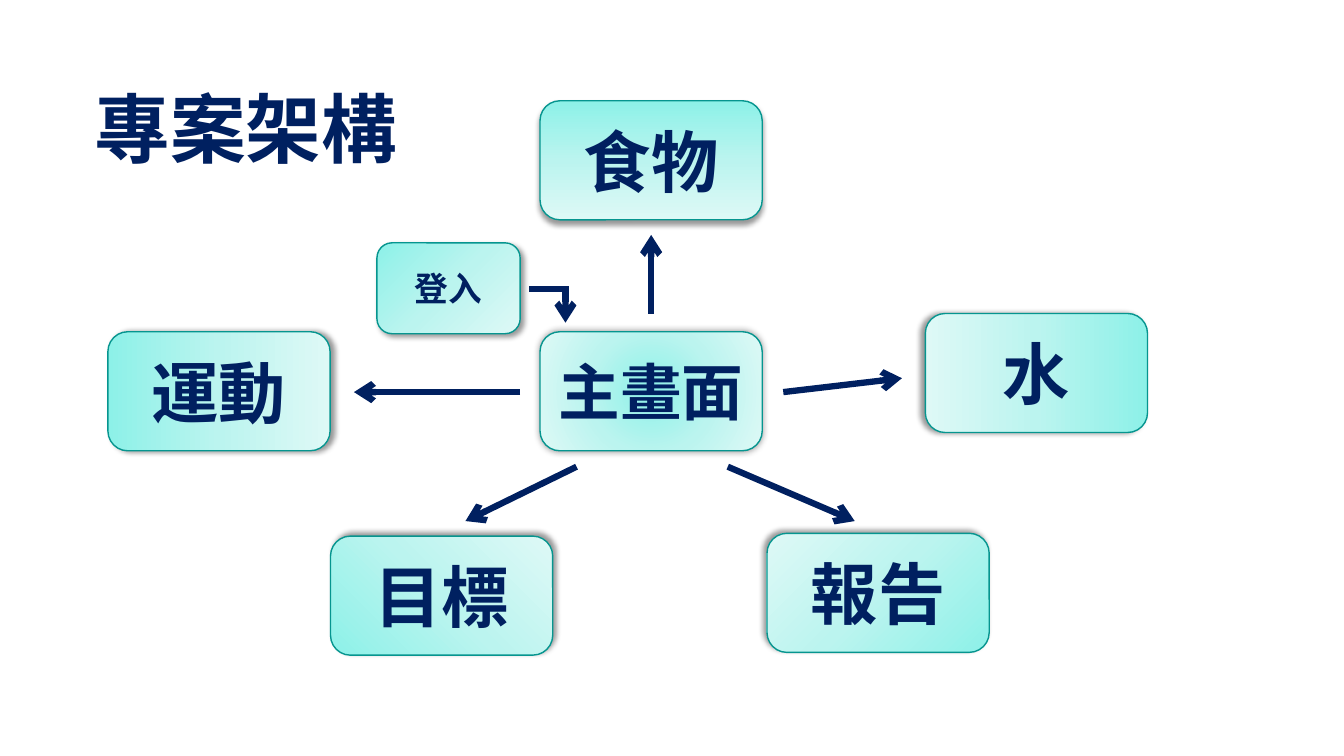
import dataclasses
import typing

import lxml.etree
import pptx
import pptx.dml.color
import pptx.enum.shapes
import pptx.enum.text
import pptx.oxml
import pptx.oxml.ns
import pptx.util


@dataclasses.dataclass(frozen=True)
class Theme:
    ink: str = "002060"
    border: str = "06958F"
    shadow: str = "000000"
    gradient: tuple[str, ...] = ("8DF1E8", "BBF4EF", "DEF9F6")
    title_font: str = "Noto Sans CJK JP"
    node_font: str = "Noto Sans CJK SC"
    title_size: float = 54
    node_size: float = 48
    main_size: float = 44
    login_size: float = 24
    border_width: float = 1
    arrow_width: float = 4.5


THEME = Theme()


@dataclasses.dataclass(frozen=True)
class Node:
    text: str
    left: float
    top: float
    angle: int = 0
    size: float = THEME.node_size
    width: float = 5.6
    height: float = 3.0
    radial_focus: tuple[int, int, int, int] | None = None
    shadow_blur: float = 4
    shadow_distance: float = 3


@dataclasses.dataclass(frozen=True)
class Arrow:
    start: tuple[float, float]
    end: tuple[float, float]
    has_head: bool = True


NODES = (
    Node("主畫面", 13.61, 8.36, size=THEME.main_size,
         radial_focus=(50, 50, 50, 50), shadow_blur=5, shadow_distance=0),
    Node("目標", 8.33, 13.51, 315),
    Node("運動", 2.72, 8.36, 0),
    Node("食物", 13.61, 2.54, 90),
    Node("報告", 19.33, 13.44, 225),
    Node("水", 23.32, 7.9, 180),
    Node("登入", 9.5, 6.12, 45, THEME.login_size, 3.61, 2.29,
         radial_focus=(0, 0, 100, 100)),
)

ARROWS = (
    Arrow((16.41, 7.9), (16.41, 5.92)),
    Arrow((19.74, 9.88), (22.73, 9.53)),
    Arrow((13.11, 9.88), (8.92, 9.88)),
    Arrow((14.53, 11.76), (11.73, 13.13)),
    Arrow((18.34, 11.76), (21.54, 13.13)),
    Arrow((13.34, 7.29), (14.27, 7.29), has_head=False),
    Arrow((14.25, 7.21), (14.25, 8.13)),
)


def apply_format(target: typing.Any, values: dict[str, typing.Any]) -> None:
    for name, value in values.items():
        setattr(target, name, value)


def color(value: str) -> pptx.dml.color.RGBColor:
    return pptx.dml.color.RGBColor.from_string(value)


def add_element(parent: typing.Any, tag: str, **attributes: typing.Any) -> typing.Any:
    return lxml.etree.SubElement(
        parent, pptx.oxml.ns.qn(tag),
        {name: str(value) for name, value in attributes.items()})


def write_text(shape: typing.Any, text: str, font: str, size: float,
               frame_format: dict[str, typing.Any],
               paragraph_format: dict[str, typing.Any]) -> None:
    frame = shape.text_frame
    apply_format(frame, {"word_wrap": True,
                         "auto_size": pptx.enum.text.MSO_AUTO_SIZE.NONE,
                         **frame_format})
    paragraph = frame.paragraphs[0]
    apply_format(paragraph, paragraph_format)
    run = paragraph.add_run()
    run.text = text
    apply_format(run.font, {"name": font, "size": pptx.util.Pt(size), "bold": True})
    run.font.color.rgb = color(THEME.ink)
    add_element(run.font._element, "a:ea", typeface=font)


def fill_gradient(shape: typing.Any, node: Node) -> None:
    shape.fill.background()
    properties = shape._element.spPr
    placeholder_fill = properties.find(pptx.oxml.ns.qn("a:noFill"))
    gradient = pptx.oxml.parse_xml(
        f'<a:gradFill {pptx.oxml.ns.nsdecls("a")} rotWithShape="1"/>')
    stops = add_element(gradient, "a:gsLst")
    for index, value in enumerate(THEME.gradient):
        stop = add_element(stops, "a:gs", pos=index * 50000)
        add_element(stop, "a:srgbClr", val=value)
    if node.radial_focus is None:
        add_element(gradient, "a:lin", ang=node.angle * 60000, scaled=0)
    else:
        route = add_element(gradient, "a:path", path="circle")
        edges = {side: inset * 1000 for side, inset in zip("ltrb", node.radial_focus)}
        add_element(route, "a:fillToRect", **edges)
    properties.replace(placeholder_fill, gradient)


def cast_shadow(shape: typing.Any, node: Node) -> None:
    shape.shadow.inherit = False
    effects = shape._element.spPr.find(pptx.oxml.ns.qn("a:effectLst"))
    shadow = add_element(effects, "a:outerShdw",
                         blurRad=pptx.util.Pt(node.shadow_blur),
                         dist=pptx.util.Pt(node.shadow_distance),
                         dir=node.angle * 60000, rotWithShape=0)
    shade = add_element(shadow, "a:srgbClr", val=THEME.shadow)
    add_element(shade, "a:alpha", val=40000)


def draw_node(slide: typing.Any, node: Node) -> None:
    shape = slide.shapes.add_shape(
        pptx.enum.shapes.MSO_SHAPE.ROUNDED_RECTANGLE,
        *map(pptx.util.Cm, (node.left, node.top, node.width, node.height)))
    fill_gradient(shape, node)
    shape.line.color.rgb = color(THEME.border)
    shape.line.width = pptx.util.Pt(THEME.border_width)
    cast_shadow(shape, node)
    write_text(shape, node.text, THEME.node_font, node.size,
               {"vertical_anchor": pptx.enum.text.MSO_ANCHOR.MIDDLE},
               {"alignment": pptx.enum.text.PP_ALIGN.CENTER})


def draw_arrow(slide: typing.Any, arrow: Arrow) -> None:
    connector = slide.shapes.add_connector(
        pptx.enum.shapes.MSO_CONNECTOR.STRAIGHT,
        *map(pptx.util.Cm, arrow.start + arrow.end))
    connector.line.color.rgb = color(THEME.ink)
    connector.line.width = pptx.util.Pt(THEME.arrow_width)
    if arrow.has_head:
        add_element(connector.line._get_or_add_ln(), "a:tailEnd", type="arrow")
    add_element(connector._element.spPr, "a:effectLst")


def draw_title(slide: typing.Any, text: str) -> None:
    title = slide.shapes.title
    apply_format(title, {"left": pptx.util.Cm(2.13), "top": pptx.util.Cm(1.73),
                         "width": pptx.util.Cm(9.4), "height": pptx.util.Cm(2.77)})
    write_text(title, text, THEME.title_font, THEME.title_size,
               {"vertical_anchor": pptx.enum.text.MSO_ANCHOR.BOTTOM},
               {"alignment": pptx.enum.text.PP_ALIGN.LEFT, "line_spacing": 0.9})


def main() -> None:
    presentation = pptx.Presentation()
    apply_format(presentation, {"slide_width": pptx.util.Cm(33.87),
                                "slide_height": pptx.util.Cm(19.05)})
    slide = presentation.slides.add_slide(presentation.slide_layouts[5])
    draw_title(slide, "專案架構")
    for node in NODES:
        draw_node(slide, node)
    for arrow in ARROWS:
        draw_arrow(slide, arrow)
    presentation.save("out.pptx")


if __name__ == "__main__":
    main()
